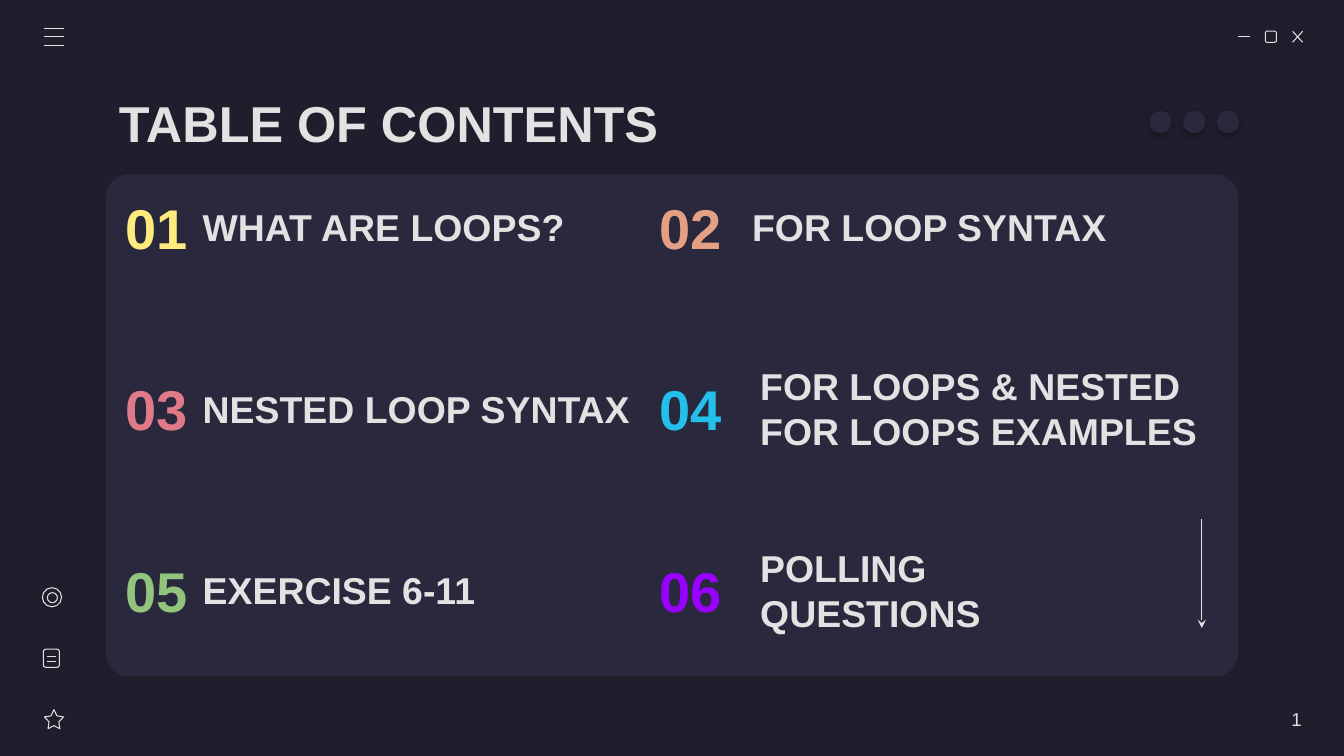
from pptx import Presentation, util as u
from pptx.dml.color import RGBColor
from pptx.enum import shapes, text
from pptx.oxml import parse_xml
from pptx.oxml.ns import nsdecls, qn
from lxml import etree

INK, PANEL, BACKDROP = "E2E2E2", "29283D", "1E1E2C"
KIND = shapes.MSO_SHAPE
ALIGN = text.PP_ALIGN
SHADOW = (
    f'<a:effectLst {nsdecls("a")}><a:outerShdw blurRad="57150" dist="19050" '
    'dir="5400000" algn="bl" rotWithShape="0"><a:srgbClr val="000000">'
    '<a:alpha val="30000"/></a:srgbClr></a:outerShdw></a:effectLst>'
)
TOPICS = [
    ("01", "FFEA7D", "WHAT ARE LOOPS?", 0.94, 4.07),
    ("02", "E5A083", "FOR LOOP SYNTAX", 1.09, 4.07),
    ("03", "E07A88", "NESTED LOOP SYNTAX", 0.94, 4.75),
    ("04", "24BFEB", "FOR LOOPS & NESTED FOR LOOPS EXAMPLES", 1.17, 4.67),
    ("05", "93C47D", "EXERCISE 6-11", 0.94, 4.21),
    ("06", "9900FF", "POLLING QUESTIONS", 1.17, 3.92),
]


def color(value):
    return RGBColor.from_string(value)


def inches(values):
    return [u.Inches(value) for value in values]


def add_shape(page, kind, box, fill=None, adjust=None):
    shape = page.shapes.add_shape(kind, *inches(box))
    shape.shadow.inherit = False
    if adjust is not None:
        shape.adjustments[0] = adjust
    if fill:
        shape.fill.solid()
        shape.fill.fore_color.rgb = color(fill)
        shape.line.fill.background()
    else:
        shape.fill.background()
        shape.line.color.rgb = color(INK)
        shape.line.width = u.Pt(0.75)
    return shape


def add_line(page, start, end, arrow=False):
    line = page.shapes.add_connector(
        shapes.MSO_CONNECTOR.STRAIGHT, *inches((*start, *end)))
    line.line.color.rgb = color(INK)
    line.line.width = u.Pt(0.75)
    if arrow:
        etree.SubElement(line.line._get_or_add_ln(), qn("a:tailEnd"), type="stealth")
    etree.SubElement(line._element.spPr, qn("a:effectLst"))


def write(shape, words, size, ink=INK, align=ALIGN.LEFT, bold=True, right=0.13):
    frame = shape.text_frame
    frame.word_wrap = True
    frame.auto_size = text.MSO_AUTO_SIZE.NONE
    frame.vertical_anchor = text.MSO_ANCHOR.MIDDLE
    frame.margin_left = frame.margin_top = frame.margin_bottom = u.Inches(0.13)
    frame.margin_right = u.Inches(right)
    para = frame.paragraphs[0]
    para.alignment = align
    span = para.add_run()
    span.text = words
    span.font.name = "Arial"
    span.font.size = u.Pt(size)
    span.font.bold = bold
    span.font.color.rgb = color(ink)


def add_text(page, box, words, size, **style):
    write(page.shapes.add_textbox(*inches(box)), words, size, **style)


def place_title(page, box):
    title = page.shapes.title
    title.left, title.top, title.width, title.height = inches(box)
    write(title, "TABLE OF CONTENTS", 36)


def menu_icon(page, box):
    left, top, width, height = box
    for row in range(3):
        y = top + row * height / 2
        add_line(page, (left, y), (left + width, y))


def window_buttons(page, box):
    left, top, width, height = box
    right, bottom = left + width, top + height
    add_line(page, (left, top + height / 2), (left + 0.12, top + height / 2))
    add_shape(page, KIND.ROUNDED_RECTANGLE, (left + 0.27, top, 0.11, height), adjust=0.167)
    add_line(page, (right - 0.1, top), (right, bottom))
    add_line(page, (right, top), (right - 0.1, bottom))


def side_icons(page, box):
    left, top, width, height = box
    add_shape(page, KIND.OVAL, (left, top, 0.19, 0.19))
    add_shape(page, KIND.OVAL, (left + 0.05, top + 0.05, 0.1, 0.1))
    add_shape(page, KIND.ROUNDED_RECTANGLE, (left + 0.01, top + 0.61, 0.16, 0.18), adjust=0.167)
    for y in (top + 0.68, top + 0.73):
        add_line(page, (left + 0.05, y), (left + 0.14, y))
    add_shape(page, KIND.STAR_5_POINT,
              (left + width - 0.19, top + height - 0.19, 0.19, 0.19), adjust=0.254)


def dots(page, box):
    left, top, width, size = box
    step = (width - size) / 2
    for index in range(3):
        dot = add_shape(page, KIND.OVAL, (left + index * step, top, size, size), PANEL)
        properties = dot._element.spPr
        properties.remove(properties.find(qn("a:effectLst")))
        properties.append(parse_xml(SHADOW))


def contents(page, box):
    left, top, width, height = box
    add_shape(page, KIND.ROUNDED_RECTANGLE, box, PANEL, 0.047)
    for index, (number, ink, topic, offset, topic_width) in enumerate(TOPICS):
        row, column = divmod(index, 2)
        x = left - 0.11 + column * 5.3
        y = top + 0.15 + row * 1.8
        add_text(page, (x, y, 1.22, 0.74), number, 40, ink=ink, align=ALIGN.CENTER)
        add_text(page, (x + offset, y, topic_width, 0.74), topic, 26.7)
    arrow_x = left + width - 0.36
    add_line(page, (arrow_x, top + 3.42), (arrow_x, top + 4.5), arrow=True)


deck = Presentation()
deck.slide_width, deck.slide_height = inches((13.33, 7.5))
page = deck.slides.add_slide(deck.slide_layouts[5])
page.background.fill.solid()
page.background.fill.fore_color.rgb = color(BACKDROP)

contents(page, (1.05, 1.73, 11.23, 4.98))
place_title(page, (1.05, 0.79, 11.23, 0.84))
menu_icon(page, (0.44, 0.28, 0.19, 0.17))
window_buttons(page, (12.28, 0.31, 0.64, 0.11))
side_icons(page, (0.42, 5.83, 0.21, 1.4))
dots(page, (11.4, 1.1, 0.89, 0.22))
add_text(page, (11.36, 6.93, 1.55, 0.41), "1", 13.3, align=ALIGN.RIGHT, bold=False, right=0)
deck.save("out.pptx")
